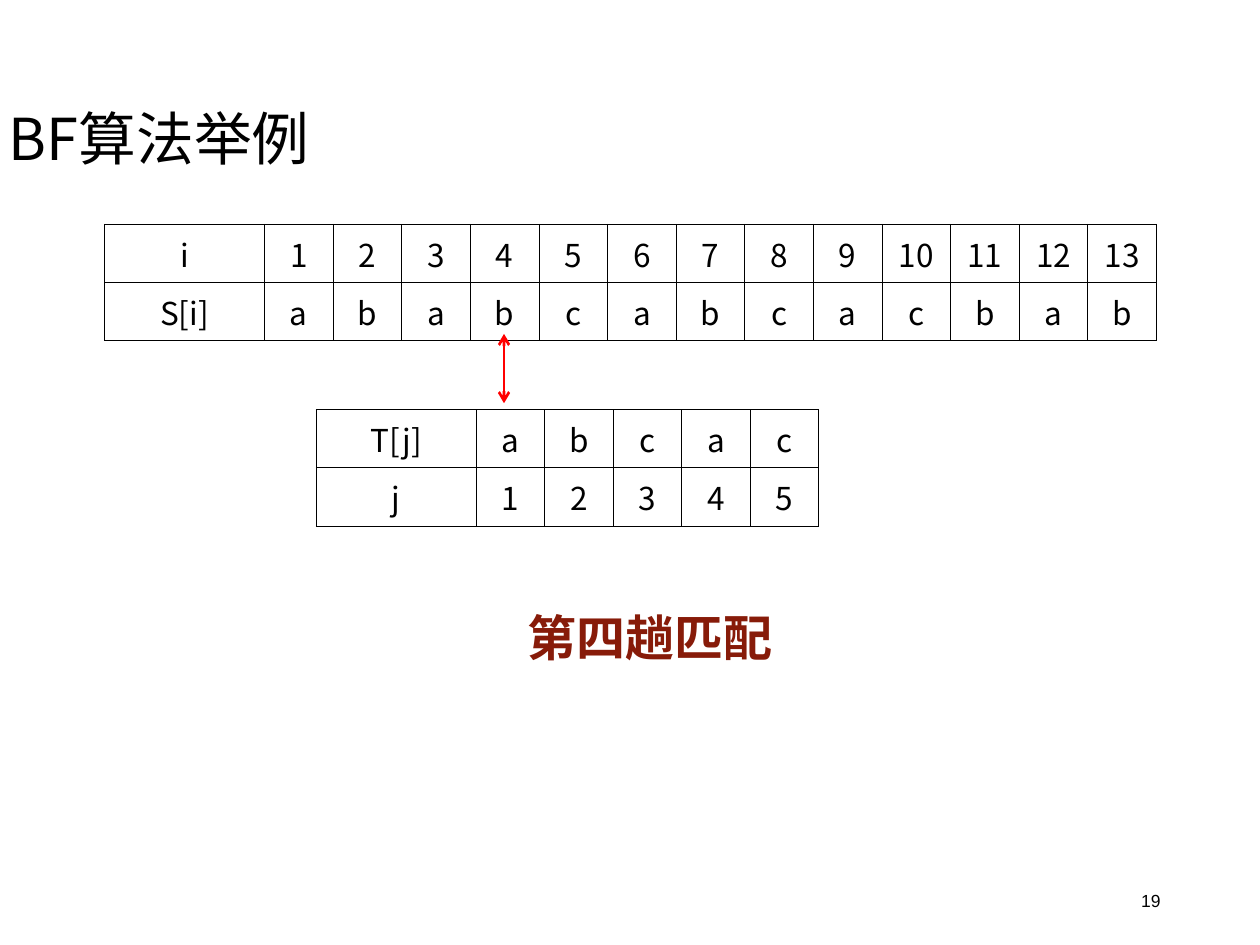
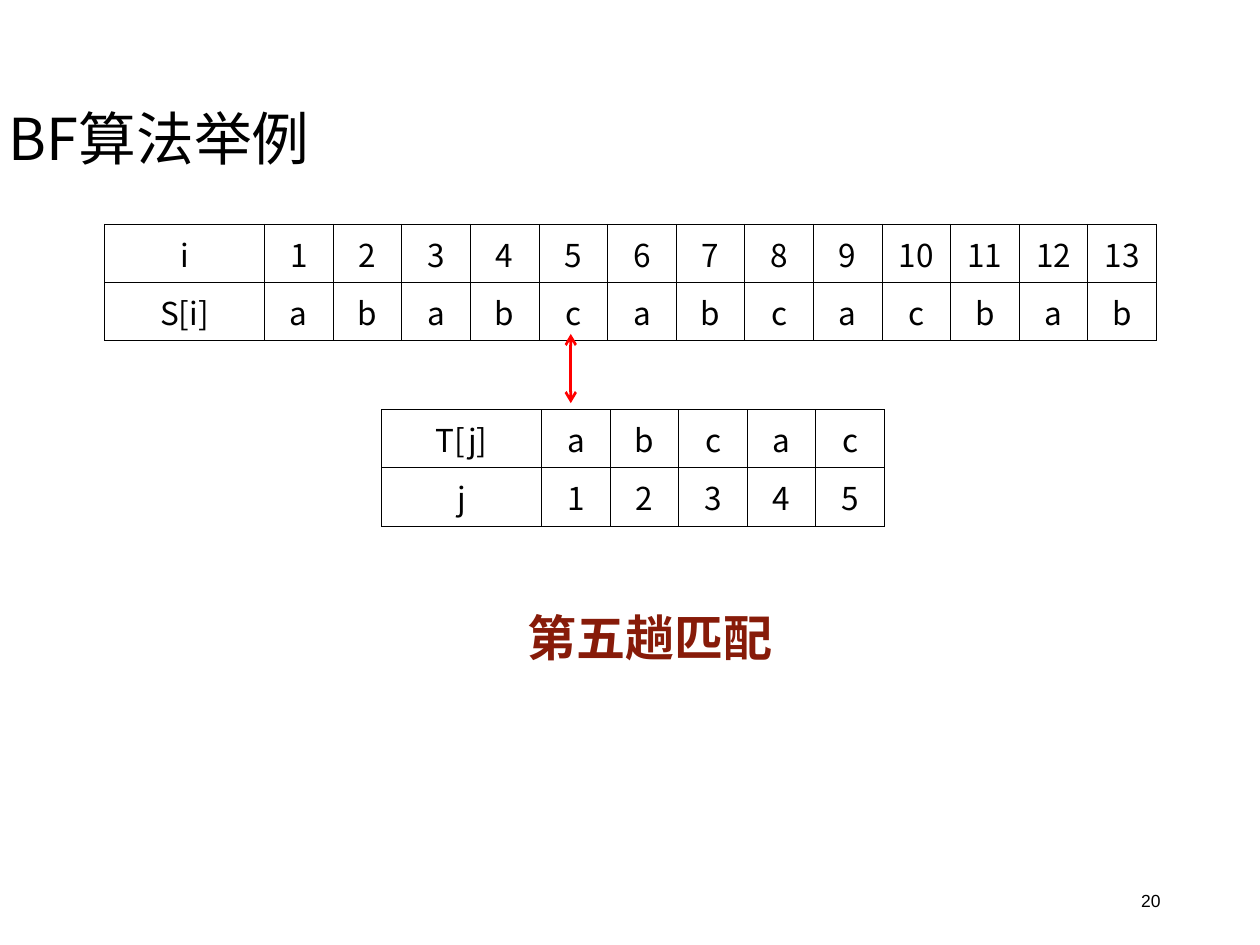
import pptx
import pptx.dml.color
import pptx.enum.shapes
import pptx.enum.text
import pptx.oxml
import pptx.oxml.ns
import pptx.util
from lxml import etree

Inches, Pt = pptx.util.Inches, pptx.util.Pt
ALIGN = pptx.enum.text.PP_ALIGN
ANCHOR = pptx.enum.text.MSO_ANCHOR
AUTO_SIZE = pptx.enum.text.MSO_AUTO_SIZE
TITLE_ONLY = 5

TEXT = "Noto Sans CJK SC"
LATIN = "Arial"
BLACK, RED, MAROON = "000000", "FF0000", "871B09"

MAIN_STRING = "ababcabcacbab"
PATTERN = "abcac"
LABEL_WIDTH = 1.27
ROW_HEIGHT = 0.41


def rgb(value):
    return pptx.dml.color.RGBColor.from_string(value)


def add_element(parent, tag, **attributes):
    return etree.SubElement(parent, pptx.oxml.ns.qn(tag), **attributes)


def numbers(string):
    return [str(n) for n in range(1, len(string) + 1)]


class Deck:
    def __init__(self):
        self.prs = pptx.Presentation()
        self.prs.slide_width, self.prs.slide_height = Inches(10), Inches(7.5)
        self.s = None

    def add_slide(self):
        self.s = self.prs.slides.add_slide(self.prs.slide_layouts[TITLE_ONLY])

    def format(self, p, size, color=BLACK, font=TEXT, bold=False, align=ALIGN.CENTER):
        p.alignment = align
        for r in p.runs:
            r.font.size, r.font.bold, r.font.name = Pt(size), bold, font
            r.font.color.rgb = rgb(color)
            add_element(r.font._element, "a:ea", typeface=TEXT)

    def title(self, text):
        sp = self.s.shapes.title
        sp.left, sp.top = Inches(0), Inches(0.4)
        sp.width, sp.height = Inches(8.63), Inches(1.45)
        tf = sp.text_frame
        tf.text = text
        tf.auto_size = AUTO_SIZE.NONE
        tf.vertical_anchor = ANCHOR.MIDDLE
        tf.margin_left = tf.margin_right = Inches(0.07)
        p = tf.paragraphs[0]
        p.line_spacing = 0.9
        self.format(p, 33, align=ALIGN.LEFT)

    def text(self, text, left, top, width, height, size, anchor=ANCHOR.TOP,
             auto_size=AUTO_SIZE.NONE, **style):
        sp = self.s.shapes.add_textbox(Inches(left), Inches(top), Inches(width), Inches(height))
        tf = sp.text_frame
        tf.word_wrap = True
        tf.auto_size = auto_size
        tf.vertical_anchor = anchor
        tf.text = text
        self.format(tf.paragraphs[0], size, font=LATIN, **style)

    def table(self, rows, left, top, width):
        """Add a grid with a wide label column and equal columns after it."""
        columns = len(rows[0])
        frame = self.s.shapes.add_table(len(rows), columns, Inches(left), Inches(top),
                                        Inches(width), Inches(ROW_HEIGHT * len(rows)))
        table = frame.table
        table.first_row = table.horz_banding = False
        for i, column in enumerate(table.columns):
            column.width = Inches((width - LABEL_WIDTH) / (columns - 1) if i else LABEL_WIDTH)
        for row, values in zip(table.rows, rows):
            for cell, value in zip(row.cells, values):
                cell.text = value
                self.format(cell.text_frame.paragraphs[0], 18)
                self.borders(cell)
                cell.fill.background()

    def borders(self, cell):
        tc_pr = cell._tc.get_or_add_tcPr()
        for side in "LRTB":
            ln = add_element(tc_pr, f"a:ln{side}", w=str(int(Pt(0.45))))
            add_element(add_element(ln, "a:solidFill"), "a:srgbClr", val=BLACK)

    def double_arrow(self, x, top, bottom):
        line = self.s.shapes.add_connector(pptx.enum.shapes.MSO_CONNECTOR.STRAIGHT,
                                           Inches(x), Inches(top), Inches(x), Inches(bottom))
        line.line.color.rgb = rgb(RED)
        line.line.width = Pt(1.5)
        ln = line.line._get_or_add_ln()
        for end in ("a:headEnd", "a:tailEnd"):
            add_element(ln, end, type="arrow")
        add_element(line._element.spPr, "a:effectLst")

    def match_slide(self, number, caption, pattern_left, arrow_x):
        self.add_slide()
        self.text(str(number), 7.06, 6.95, 2.25, 0.4, 10,
                  anchor=ANCHOR.MIDDLE, align=ALIGN.RIGHT)
        self.title("BF算法举例")
        self.table([["i", *numbers(MAIN_STRING)], ["S[i]", *MAIN_STRING]], 0.83, 1.78, 8.35)
        self.table([["T[j]", *PATTERN], ["j", *numbers(PATTERN)]], pattern_left, 3.25, 3.99)
        self.double_arrow(arrow_x, 2.65, 3.2)
        self.text(caption, 3.11, 4.77, 4.1, 0.57, 28, auto_size=AUTO_SIZE.SHAPE_TO_FIT_TEXT,
                  color=MAROON, bold=True)


def main():
    deck = Deck()
    deck.match_slide(19, "第四趟匹配", pattern_left=2.51, arrow_x=4)
    deck.match_slide(20, "第五趟匹配", pattern_left=3.03, arrow_x=4.53)
    deck.prs.save("out.pptx")


if __name__ == "__main__":
    main()
